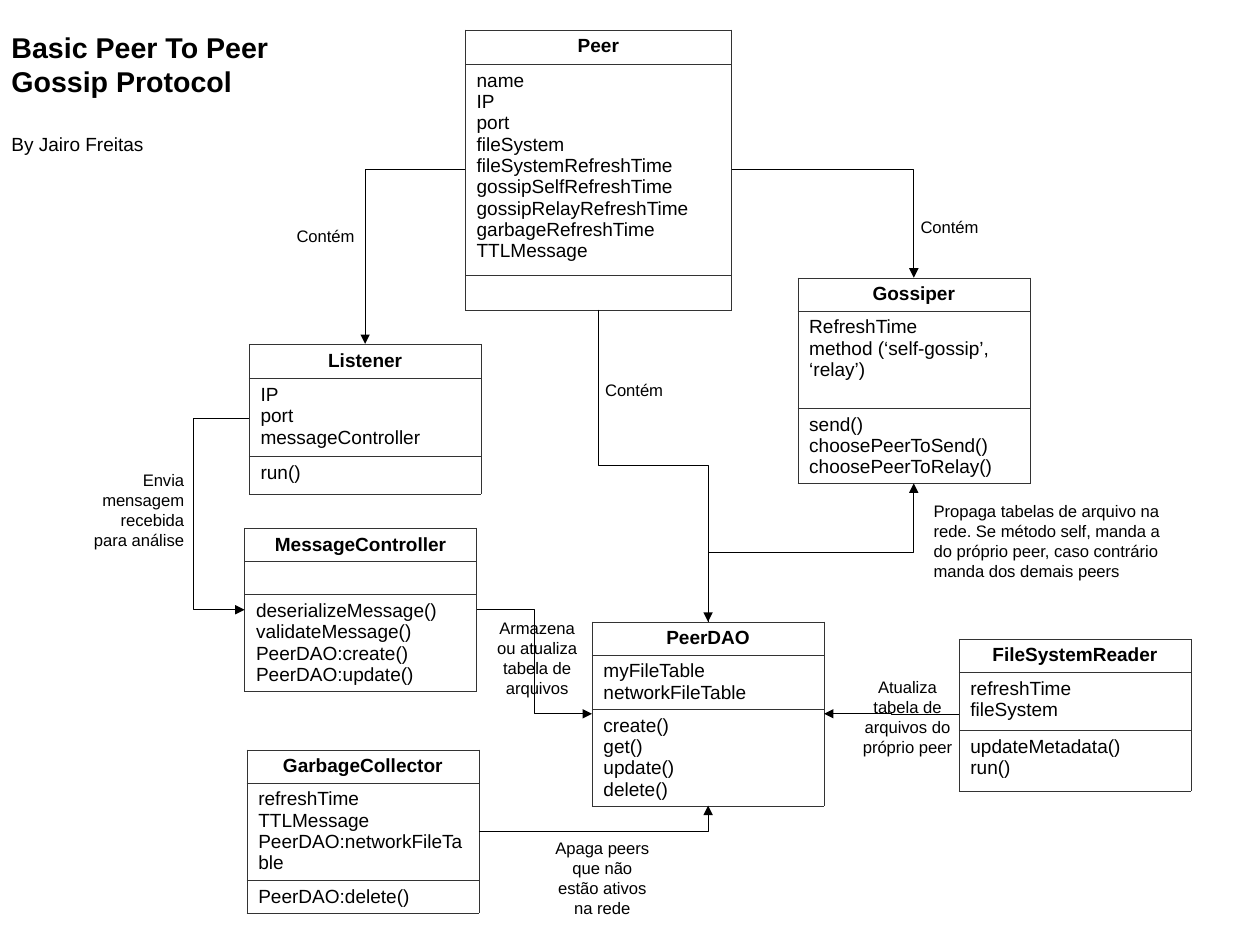
"""Build the class diagram slide of a peer-to-peer gossip protocol."""
from dataclasses import dataclass

from lxml import etree
from pptx import Presentation
from pptx import util as u
from pptx.dml.color import RGBColor
from pptx.enum import shapes, text
from pptx.oxml.ns import qn

PX = u.Inches(1) // 100
SLIDE = (u.Cm(28), u.Cm(21))


@dataclass(frozen=True)
class Theme:
    font: str = "Arial"
    ink: str = "000000"
    border: str = "333333"
    title: float = 18
    body: float = 12
    label: float = 10.5
    border_width: float = 0.25
    arrow_width: float = 0.5


THEME = Theme()
LEFT, CENTER, RIGHT = text.PP_ALIGN.LEFT, text.PP_ALIGN.CENTER, text.PP_ALIGN.RIGHT

HEADING = ("Basic Peer To Peer Gossip Protocol", (0, 21, 299, 75))
AUTHOR = ("By Jairo Freitas", (0, 111, 299, 30))

CLASSES = {
    "FileSystemReader": ((839, 559, 203), (29, 51, 53),
                         ["refreshTime", "fileSystem"],
                         ["updateMetadata()", "run()"]),
    "Listener": ((218, 301, 203), (30, 68, 33),
                 ["IP", "port", "messageController"],
                 ["run()"]),
    "MessageController": ((214, 462, 203), (29, 29, 85),
                          [],
                          ["deserializeMessage()", "validateMessage()",
                           "PeerDAO:create()", "PeerDAO:update()"]),
    "GarbageCollector": ((216, 656, 203), (29, 85, 29),
                         ["refreshTime", "TTLMessage", "PeerDAO:networkFileTable"],
                         ["PeerDAO:delete()"]),
    "PeerDAO": ((518, 544, 203), (29, 47, 85),
                ["myFileTable", "networkFileTable"],
                ["create()", "get()", "update()", "delete()"]),
    "Gossiper": ((698, 243, 203), (29, 85, 66),
                 ["RefreshTime", "method (‘self-gossip’, ‘relay’)"],
                 ["send()", "choosePeerToSend()", "choosePeerToRelay()"]),
    "Peer": ((407, 26, 233), (30, 185, 30),
             ["name", "IP", "port", "fileSystem", "fileSystemRefreshTime",
              "gossipSelfRefreshTime", "gossipRelayRefreshTime",
              "garbageRefreshTime", "TTLMessage"],
             []),
}

RELATIONS = [
    ("Listener", "left", "MessageController", "left", 169),
    ("MessageController", "right", "PeerDAO", "left", None),
    ("GarbageCollector", "right", "PeerDAO", "bottom", None),
    ("FileSystemReader", "left", "PeerDAO", "right", None),
    ("PeerDAO", "top", "Gossiper", "bottom", None),
    ("Peer", "left", "Listener", "top", None),
    ("Peer", "right", "Gossiper", "top", None),
    ("Peer", "bottom", "PeerDAO", "top", None),
]

LABELS = [
    ("Envia mensagem recebida para análise", (67, 406, 104, 75), RIGHT),
    ("Armazena ou atualiza tabela de arquivos", (418, 536, 104, 75), CENTER),
    ("Apaga peers que não estão ativos na rede", (475, 728, 104, 75), CENTER),
    ("Atualiza tabela de arquivos do próprio peer", (742, 587, 104, 75), CENTER),
    ("Propaga tabelas de arquivo na rede. Se método self, manda a do próprio peer, "
     "caso contrário manda dos demais peers", (807, 433, 222, 75), LEFT),
    ("Contém", (249, 193, 71, 31), RIGHT),
    ("Contém", (795, 185, 71, 31), RIGHT),
    ("Contém", (519, 327, 71, 31), RIGHT),
]


def px(*lengths):
    return [u.Emu(round(length * PX)) for length in lengths]


def write(frame, content, size, align=LEFT, bold=False):
    frame.text = content
    for paragraph in frame.paragraphs:
        paragraph.alignment = align
        paragraph.space_before = u.Pt(0)
        for run in paragraph.runs:
            run.font.name = THEME.font
            run.font.size = u.Pt(size)
            run.font.bold = bold
            run.font.color.rgb = RGBColor.from_string(THEME.ink)
        if not paragraph.runs:
            ending = etree.SubElement(paragraph._p, qn("a:endParaRPr"), sz=str(size * 100))
            etree.SubElement(ending, qn("a:latin"), typeface=THEME.font)


def fill_placeholder(holder, content, box, size, bold=False):
    holder.left, holder.top, holder.width, holder.height = px(*box)
    frame = holder.text_frame
    frame.word_wrap = True
    frame.auto_size = text.MSO_AUTO_SIZE.NONE
    frame.vertical_anchor = text.MSO_ANCHOR.TOP
    write(frame, content, size, bold=bold)


def outline(cell):
    properties = cell._tc.get_or_add_tcPr()
    for position, side in enumerate(("lnL", "lnR", "lnT", "lnB")):
        line = etree.Element(qn(f"a:{side}"), w=str(u.Pt(THEME.border_width)))
        fill = etree.SubElement(line, qn("a:solidFill"))
        etree.SubElement(fill, qn("a:srgbClr"), val=THEME.border)
        properties.insert(position, line)


def add_class(slide, name, place, heights, attributes, methods):
    frame = slide.shapes.add_table(3, 1, *px(*place, sum(heights)))
    table = frame.table
    table.first_row = table.horz_banding = False
    sections = ([name], attributes, methods)
    for index, (lines, height) in enumerate(zip(sections, heights)):
        table.rows[index].height = px(height)[0]
        cell = table.cell(index, 0)
        heading = index == 0
        write(cell.text_frame, "\n".join(lines), THEME.body,
              CENTER if heading else LEFT, heading)
        cell.fill.background()
        outline(cell)


def anchor(name, side):
    (left, top, width), heights = CLASSES[name][:2]
    across, down = {"left": (0, 0.5), "right": (1, 0.5),
                    "top": (0.5, 0), "bottom": (0.5, 1)}[side]
    return left + across * width, top + down * sum(heights)


def add_relation(slide, source, source_side, target, target_side, bend_x):
    (x1, y1), (x2, y2) = anchor(source, source_side), anchor(target, target_side)
    leaves_upright = source_side in ("top", "bottom")
    enters_upright = target_side in ("top", "bottom")
    ends = (x1, y1, x2, y2)
    if leaves_upright:
        cx, cy, dx, dy = (x1 + x2) / 2, (y1 + y2) / 2, (x2 - x1) / 2, (y2 - y1) / 2
        ends = (cx - dy, cy + dx, cx + dy, cy - dx)
    arrow = slide.shapes.add_connector(shapes.MSO_CONNECTOR.ELBOW, *px(*ends))
    arrow.line.color.rgb = RGBColor.from_string(THEME.ink)
    arrow.line.width = u.Pt(THEME.arrow_width)
    properties = arrow._element.spPr
    if leaves_upright:
        properties.find(qn("a:xfrm")).set("rot", "5400000")
    geometry = properties.find(qn("a:prstGeom"))
    if enters_upright and not leaves_upright:
        geometry.set("prst", "bentConnector2")
    if bend_x is not None:
        ratio = round((bend_x - x1) / (x2 - x1) * 100000)
        etree.SubElement(geometry.find(qn("a:avLst")), qn("a:gd"),
                         name="adj1", fmla=f"val {ratio}")
    etree.SubElement(properties.find(qn("a:ln")), qn("a:tailEnd"), type="triangle")
    etree.SubElement(properties, qn("a:effectLst"))


def add_label(slide, content, box, align):
    frame = slide.shapes.add_textbox(*px(*box)).text_frame
    frame.word_wrap = True
    write(frame, content, THEME.label, align)


def main():
    deck = Presentation()
    deck.slide_width, deck.slide_height = SLIDE
    slide = deck.slides.add_slide(deck.slide_layouts[0])
    heading, author = slide.placeholders
    fill_placeholder(heading, *HEADING, THEME.title, bold=True)
    fill_placeholder(author, *AUTHOR, THEME.body)
    for name, details in CLASSES.items():
        add_class(slide, name, *details)
    for relation in RELATIONS:
        add_relation(slide, *relation)
    for label in LABELS:
        add_label(slide, *label)
    deck.save("out.pptx")


if __name__ == "__main__":
    main()
